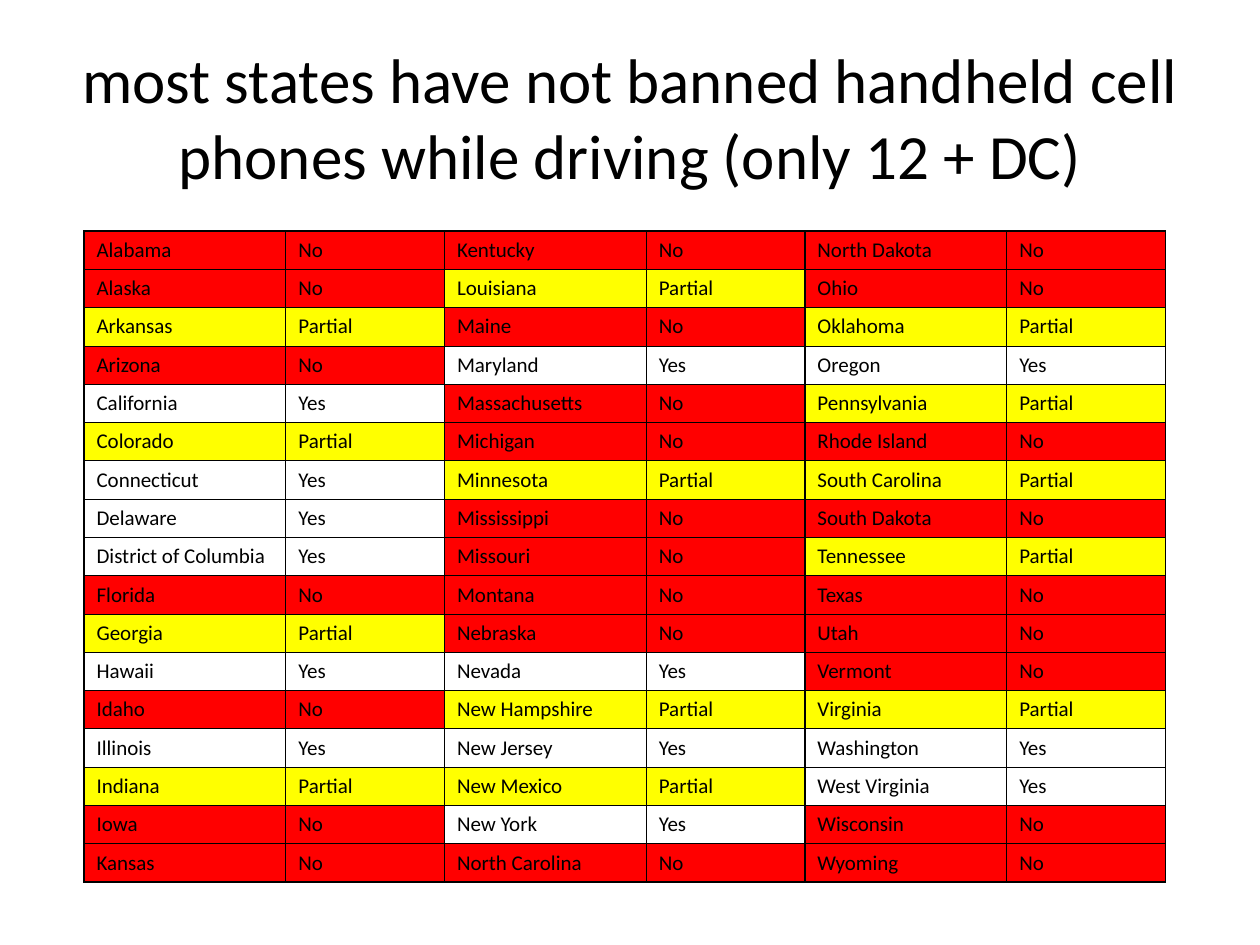
from lxml import etree
from pptx import Presentation
from pptx import util as u
from pptx.dml import color
from pptx.enum import text
from pptx.oxml import ns

Pt = u.Pt
FONT = "Calibri"
FILLS = {"No": "FF0000", "Partial": "FFFF00", "Yes": "FFFFFF"}
BANS = {"N": "No", "P": "Partial", "Y": "Yes"}

# One pair per column block: states, then one ban letter for each state
BLOCKS = [
    (["Alabama", "Alaska", "Arkansas", "Arizona", "California", "Colorado",
      "Connecticut", "Delaware", "District of Columbia", "Florida", "Georgia",
      "Hawaii", "Idaho", "Illinois", "Indiana", "Iowa", "Kansas"],
     "NNPNYPYYYNPYNYPNN"),
    (["Kentucky", "Louisiana", "Maine", "Maryland", "Massachusetts",
      "Michigan", "Minnesota", "Mississippi", "Missouri", "Montana",
      "Nebraska", "Nevada", "New Hampshire", "New Jersey", "New Mexico",
      "New York", "North Carolina"],
     "NPNYNNPNNNNYPYPYN"),
    (["North Dakota", "Ohio", "Oklahoma", "Oregon", "Pennsylvania",
      "Rhode Island", "South Carolina", "South Dakota", "Tennessee", "Texas",
      "Utah", "Vermont", "Virginia", "Washington", "West Virginia",
      "Wisconsin", "Wyoming"],
     "NNPYPNPNPNNNPYYNN"),
]


def rgb(code):
    return color.RGBColor.from_string(code)


def style(para, size):
    para.font.name = FONT
    para.font.size = Pt(size)
    para.font.color.rgb = rgb("000000")


def border(cell, side, width):
    props = cell._tc.get_or_add_tcPr()
    line = etree.SubElement(props, ns.qn("a:ln" + side), w=str(Pt(width)))
    fill = etree.SubElement(line, ns.qn("a:solidFill"))
    etree.SubElement(fill, ns.qn("a:srgbClr"), val="000000")


def title(slide, words, left, top, width, height):
    box = slide.shapes.add_textbox(Pt(left), Pt(top), Pt(width), Pt(height))
    frame = box.text_frame
    frame.word_wrap = True
    frame.vertical_anchor = text.MSO_ANCHOR.MIDDLE
    para = frame.paragraphs[0]
    para.text = words
    para.alignment = text.PP_ALIGN.CENTER
    style(para, 36)


def fill_cell(cell, words, ban, heavy):
    cell.text = words
    cell.vertical_anchor = text.MSO_ANCHOR.BOTTOM
    style(cell.text_frame.paragraphs[0], 12)
    for side in "LRTB":
        border(cell, side, 1 if side in heavy else 0.5)
    cell.fill.solid()
    cell.fill.fore_color.rgb = rgb(FILLS[ban])


def bans(slide, left, top, width, height):
    rows, cols = len(BLOCKS[0][0]), 2 * len(BLOCKS)
    grid = slide.shapes.add_table(
        rows, cols, Pt(left), Pt(top), Pt(width), Pt(height)).table
    grid.first_row = grid.horz_banding = False

    # State columns take 56% of each block
    pair = width / len(BLOCKS)
    for i, col in enumerate(grid.columns):
        col.width = Pt(pair * (0.44 if i % 2 else 0.56))
    for row in grid.rows:
        row.height = Pt(height / rows)

    # Heavy lines frame each block
    for b, (states, marks) in enumerate(BLOCKS):
        for r, (state, mark) in enumerate(zip(states, marks)):
            ban = BANS[mark]
            edge = {0: "T", rows - 1: "B"}.get(r, "")
            fill_cell(grid.cell(r, 2 * b), state, ban, edge + "L")
            fill_cell(grid.cell(r, 2 * b + 1), ban, ban, edge + "R")


deck = Presentation()
deck.slide_width, deck.slide_height = Pt(720), Pt(540)
page = deck.slides.add_slide(deck.slide_layouts[6])
title(page, "most states have not banned handheld cell phones while driving "
      "(only 12 + DC)", 36, 21.6, 648, 90)
bans(page, 48, 132, 618, 372.3)
deck.save("out.pptx")
